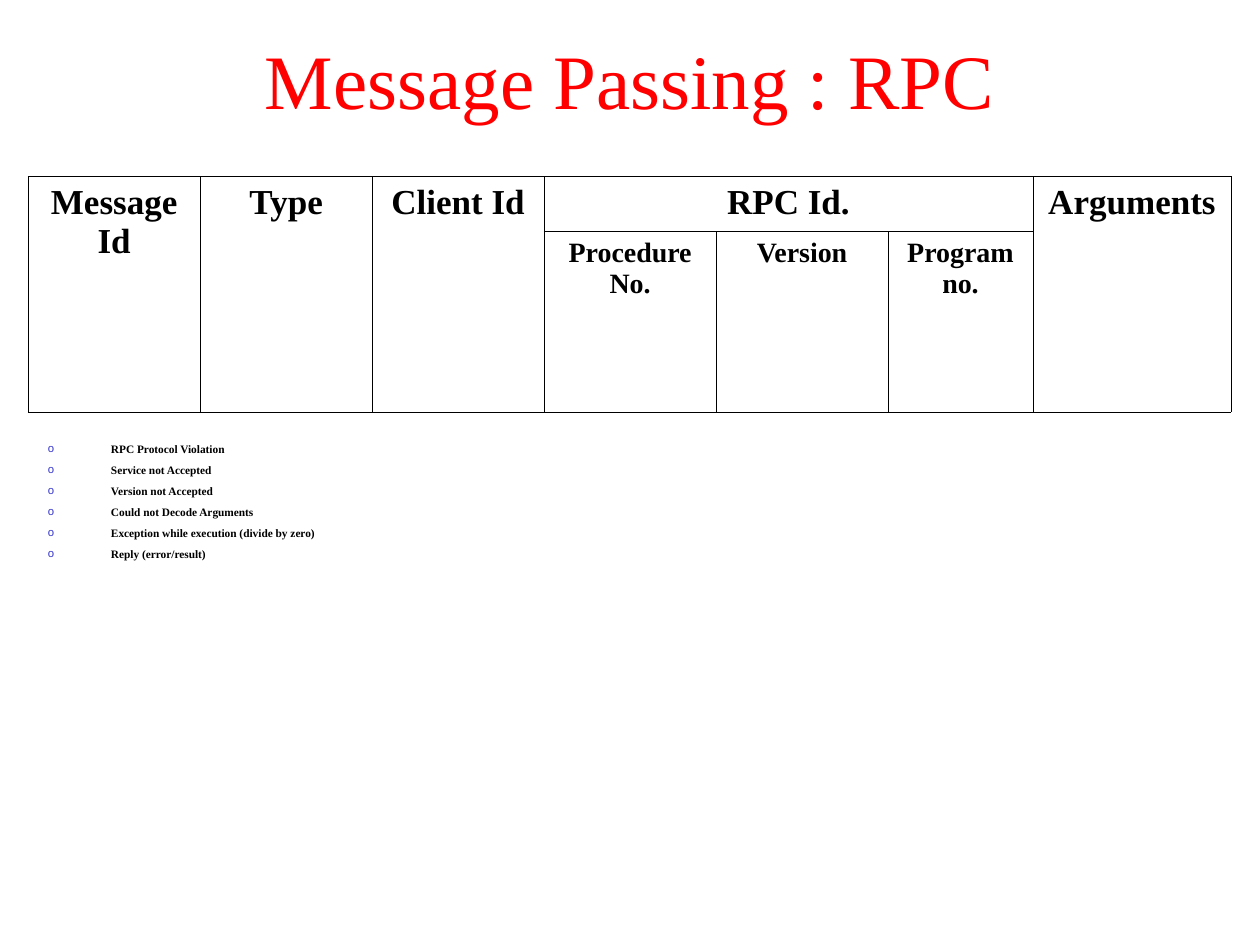
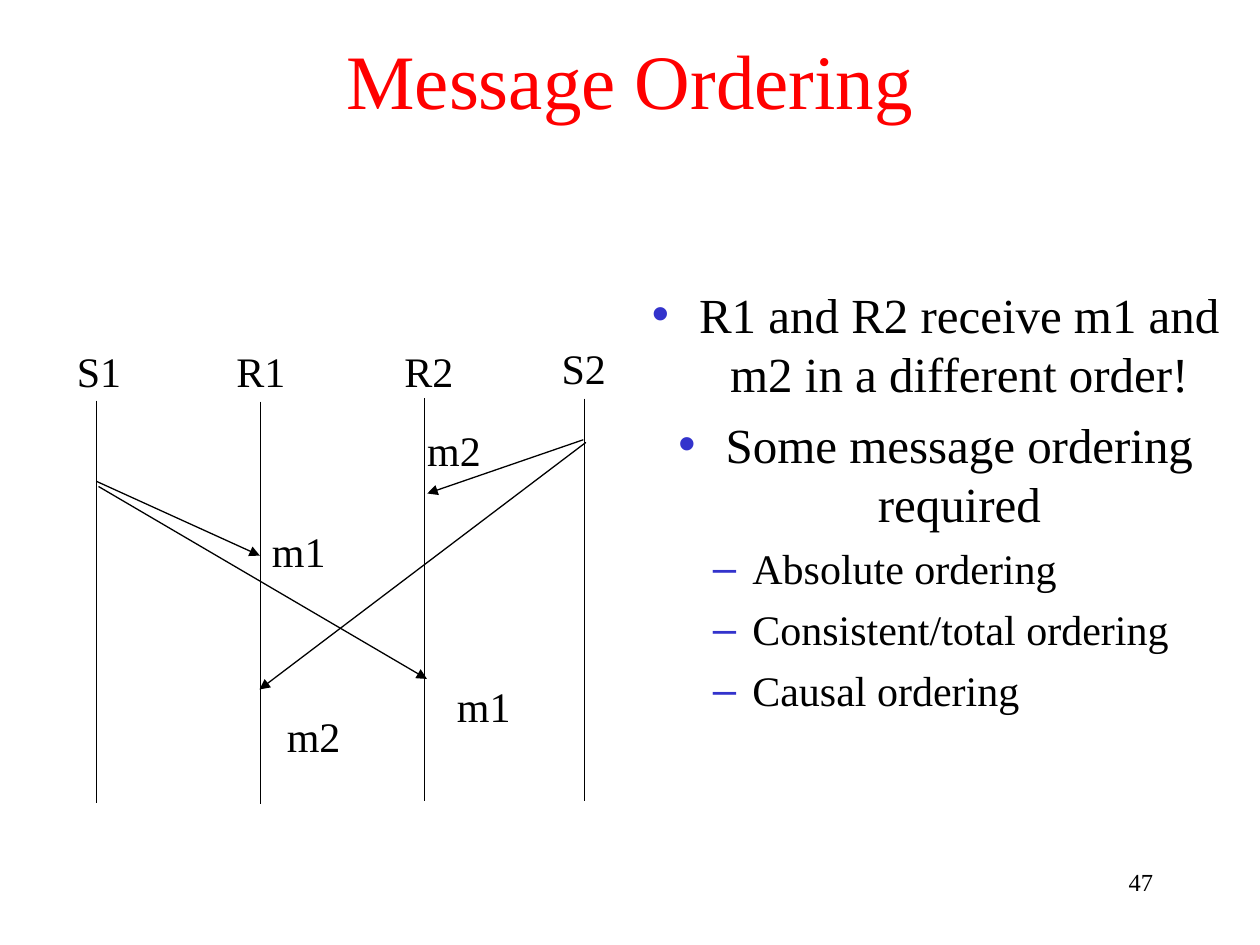
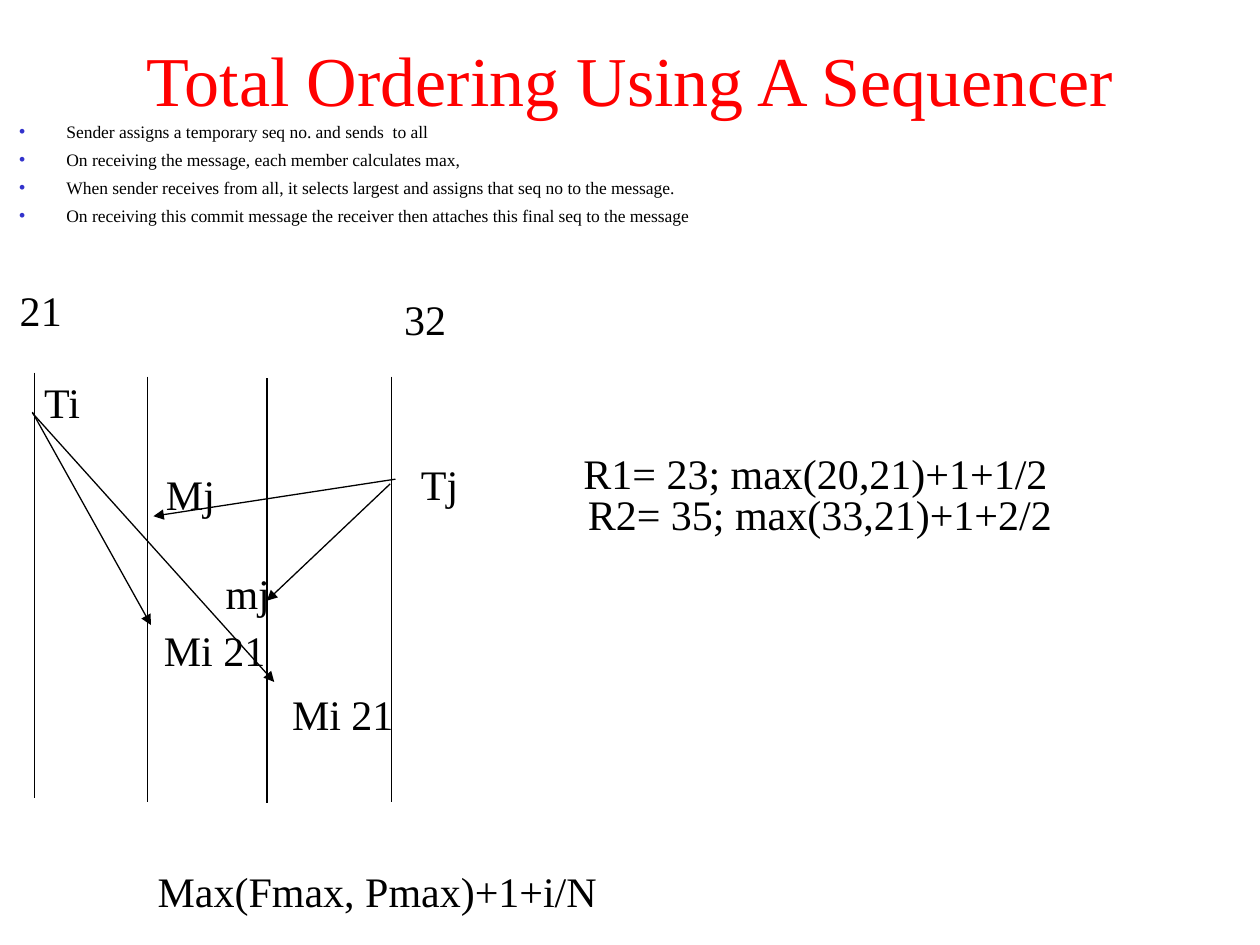
from typing import NamedTuple

from lxml.etree import SubElement
from pptx import Presentation
from pptx.dml.color import RGBColor
from pptx.enum.shapes import MSO_CONNECTOR
from pptx.enum.text import MSO_ANCHOR, MSO_AUTO_SIZE, PP_ALIGN
from pptx.oxml.ns import qn
from pptx.slide import Slide
from pptx.table import _Cell
from pptx.text.text import TextFrame, _Paragraph
from pptx.util import Pt

RED = RGBColor(0xFF, 0x00, 0x00)
BLACK = RGBColor(0x00, 0x00, 0x00)
WHITE = RGBColor(0xFF, 0xFF, 0xFF)
BULLET_BLUE = RGBColor(0x33, 0x33, 0xCC)
FONT = "Times New Roman"
LABEL_HEIGHT = 36


class Box(NamedTuple):
    left: float
    top: float
    width: float
    height: float


class BulletStyle(NamedTuple):
    mark: str
    size: float
    margin: float
    hanging: float
    space_before: float
    level: int = 0
    align: PP_ALIGN = PP_ALIGN.LEFT
    line_spacing: float = 1.0
    bold: bool = False


class Bullet(NamedTuple):
    text: str
    style: BulletStyle


class Lifeline(NamedTuple):
    x: float
    top: float


class Arrow(NamedTuple):
    x1: float
    y1: float
    x2: float
    y2: float


class Label(NamedTuple):
    text: str
    left: float
    top: float
    width: float


class HeaderCell(NamedTuple):
    text: str
    row: int
    column: int
    rows: int = 1
    columns: int = 1
    size: float = 20


TITLE_BOX = Box(0, 0, 720, 90)

REPLY_STYLE = BulletStyle("o", 6.5, 36, 36, 6.5, line_spacing=0.7, bold=True)
POINT_STYLE = BulletStyle("•", 28, 27, 27, 7, align=PP_ALIGN.CENTER)
ORDERING_STYLE = BulletStyle("–", 24, 58.5, 22.5, 6, level=1)
STEP_STYLE = BulletStyle("•", 10, 27, 27, 4)

TABLE_BOX = Box(16.1, 101, 687.5, 134.5)
COLUMN_WIDTHS = [98.3] * 5 + [82.75, 113.25]
ROW_HEIGHTS = [31.25, 103.25]
MESSAGE_FIELDS = [
    HeaderCell("Message Id", 0, 0, rows=2),
    HeaderCell("Type", 0, 1, rows=2),
    HeaderCell("Client Id", 0, 2, rows=2),
    HeaderCell("RPC Id.", 0, 3, columns=3),
    HeaderCell("Arguments", 0, 6, rows=2),
    HeaderCell("Procedure No.", 1, 3, size=16),
    HeaderCell("Version", 1, 4, size=16),
    HeaderCell("Program no.", 1, 5, size=16),
]
REPLIES = [
    "RPC Protocol Violation",
    "Service not Accepted",
    "Version not Accepted",
    "Could not Decode Arguments",
    "Exception while execution (divide by zero)",
    "Reply (error/result)",
]

ORDERING_POINTS = [
    Bullet("R1 and R2 receive m1 and m2 in a different order!", POINT_STYLE),
    Bullet("Some message ordering required", POINT_STYLE),
    Bullet("Absolute ordering", ORDERING_STYLE),
    Bullet("Consistent/total ordering", ORDERING_STYLE),
    Bullet("Causal ordering", ORDERING_STYLE),
]
ORDERING_LINES = [
    Lifeline(55, 229), Lifeline(149, 229.5), Lifeline(242.7, 227.5), Lifeline(334, 227.8),
]
ORDERING_ARROWS = [
    Arrow(55, 275, 148.5, 317.5),
    Arrow(56.3, 278, 244, 388),
    Arrow(333.3, 251.3, 244.2, 282),
    Arrow(334.8, 252.8, 148.3, 394),
]
ORDERING_LABELS = [
    Label("S1", 36.8, 194, 46),
    Label("R1", 128, 194, 48),
    Label("R2", 224, 194, 48),
    Label("S2", 313.8, 192, 46),
    Label("m1", 148.3, 296.5, 52),
    Label("m1", 254, 385.5, 52),
    Label("m2", 237, 239, 52),
    Label("m2", 156.8, 402.5, 52),
]

SEQUENCER_STEPS = [
    "Sender assigns a temporary seq no. and sends  to all",
    "On receiving the message, each member calculates max,",
    "When sender receives from all, it selects largest and assigns that seq no to the message.",
    "On receiving this commit message the receiver then attaches this final seq to the message",
]
SEQUENCER_LINES = [
    Lifeline(19.8, 213), Lifeline(84.2, 215.2), Lifeline(152.6, 216), Lifeline(223.8, 215.2),
]
SEQUENCER_ARROWS = [
    Arrow(18.5, 235.5, 86.3, 357.2),
    Arrow(18.5, 236, 156.7, 389.7),
    Arrow(226, 273.8, 87.7, 295),
    Arrow(223, 276.5, 152.5, 343.3),
]
SEQUENCER_LABELS = [
    Label("Mi 21", 86.5, 353.3, 82),
    Label("Mi 21", 159.8, 389.8, 82),
    Label("Mj", 87.8, 264, 56),
    Label("mj", 121.8, 320.5, 46),
    Label("Tj", 233.5, 258.5, 42),
    Label("Ti", 18.2, 211.8, 42),
    Label("Max(Fmax, Pmax)+1+i/N", 83, 491, 290),
    Label("32", 223.8, 164.3, 46),
    Label("21", 4.2, 159, 46),
    Label("R1= 23; max(20,21)+1+1/2", 326.3, 252, 300),
    Label("R2= 35; max(33,21)+1+2/2", 328.8, 275.7, 300),
]


def points(box: Box) -> list:
    return [Pt(length) for length in box]


def add_run(paragraph: _Paragraph, text: str, size: float,
            color: RGBColor = BLACK, bold: bool = False) -> None:
    run = paragraph.add_run()
    run.text = text
    run.font.name = FONT
    run.font.size = Pt(size)
    run.font.bold = bold
    run.font.color.rgb = color


def place(placeholder, box: Box) -> TextFrame:
    placeholder.left, placeholder.top, placeholder.width, placeholder.height = points(box)
    frame = placeholder.text_frame
    frame.auto_size = MSO_AUTO_SIZE.NONE
    return frame


def add_slide(deck, title: str, title_size: float, body_box: Box, bullets: list[Bullet]) -> Slide:
    slide = deck.slides.add_slide(deck.slide_layouts[1])
    heading = place(slide.shapes.title, TITLE_BOX)
    heading.vertical_anchor = MSO_ANCHOR.MIDDLE
    heading.paragraphs[0].alignment = PP_ALIGN.CENTER
    add_run(heading.paragraphs[0], title, title_size, RED)

    body = place(slide.placeholders[1], body_box)
    for index, bullet in enumerate(bullets):
        paragraph = body.add_paragraph() if index else body.paragraphs[0]
        format_bullet(paragraph, bullet.style)
        paragraph.space_before = Pt(bullet.style.space_before if index else 0)
        add_run(paragraph, bullet.text, bullet.style.size, bold=bullet.style.bold)
    return slide


def format_bullet(paragraph: _Paragraph, style: BulletStyle) -> None:
    paragraph.level = style.level
    paragraph.alignment = style.align
    properties = paragraph._p.get_or_add_pPr()
    properties.set("marL", str(Pt(style.margin)))
    properties.set("indent", str(-Pt(style.hanging)))
    color = SubElement(properties, qn("a:buClr"))
    SubElement(color, qn("a:srgbClr"), val=str(BULLET_BLUE))
    SubElement(properties, qn("a:buChar"), char=style.mark)
    paragraph.line_spacing = style.line_spacing


def add_line(slide: Slide, ends: Arrow, arrowhead: bool = False) -> None:
    line = slide.shapes.add_connector(MSO_CONNECTOR.STRAIGHT, *[Pt(end) for end in ends])
    line.line.color.rgb = BLACK
    line.line.width = Pt(0.75)
    properties = line.element.spPr
    if arrowhead:
        SubElement(properties.find(qn("a:ln")), qn("a:tailEnd"), type="triangle")
    SubElement(properties, qn("a:effectLst"))


def add_label(slide: Slide, label: Label) -> None:
    box = Box(label.left, label.top, label.width, LABEL_HEIGHT)
    frame = slide.shapes.add_textbox(*points(box)).text_frame
    frame.word_wrap = True
    add_run(frame.paragraphs[0], label.text, 24)


def add_timeline(slide: Slide, lifelines: list[Lifeline], length: float,
                 arrows: list[Arrow], labels: list[Label]) -> None:
    for x, top in lifelines:
        add_line(slide, Arrow(x, top, x, top + length))
    for arrow in arrows:
        add_line(slide, arrow, arrowhead=True)
    for label in labels:
        add_label(slide, label)


def format_cell(cell: _Cell) -> None:
    properties = cell._tc.get_or_add_tcPr()
    for side in ("a:lnL", "a:lnR", "a:lnT", "a:lnB"):
        border = SubElement(properties, qn(side), w=str(Pt(0.45)))
        fill = SubElement(border, qn("a:solidFill"))
        SubElement(fill, qn("a:srgbClr"), val=str(BLACK))
    cell.fill.solid()
    cell.fill.fore_color.rgb = WHITE


def add_message_table(slide: Slide) -> None:
    table = slide.shapes.add_table(
        len(ROW_HEIGHTS), len(COLUMN_WIDTHS), *points(TABLE_BOX)).table
    table.first_row = False
    table.horz_banding = False
    for column, width in zip(table.columns, COLUMN_WIDTHS):
        column.width = Pt(width)
    for row, height in zip(table.rows, ROW_HEIGHTS):
        row.height = Pt(height)
    for cell in table.iter_cells():
        format_cell(cell)
    for field in MESSAGE_FIELDS:
        cell = table.cell(field.row, field.column)
        if field.rows > 1 or field.columns > 1:
            cell.merge(table.cell(field.row + field.rows - 1, field.column + field.columns - 1))
        paragraph = cell.text_frame.paragraphs[0]
        paragraph.alignment = PP_ALIGN.CENTER
        add_run(paragraph, field.text, field.size, bold=True)


def add_page_number(slide: Slide, number: str) -> None:
    frame = slide.shapes.add_textbox(*points(Box(516, 492, 150, 36))).text_frame
    frame.word_wrap = True
    frame.paragraphs[0].alignment = PP_ALIGN.RIGHT
    add_run(frame.paragraphs[0], number, 14)


def main() -> None:
    deck = Presentation()
    deck.slide_width, deck.slide_height = Pt(720), Pt(540)

    rpc = add_slide(deck, "Message Passing : RPC", 44, Box(20.2, 251.2, 606, 66),
                    [Bullet(reply, REPLY_STYLE) for reply in REPLIES])
    add_message_table(rpc)

    ordering = add_slide(deck, "Message Ordering", 44, Box(364.2, 159, 341, 324),
                         ORDERING_POINTS)
    add_timeline(ordering, ORDERING_LINES, 230, ORDERING_ARROWS, ORDERING_LABELS)
    add_page_number(ordering, "47")

    sequencer = add_slide(deck, "Total Ordering Using A Sequencer", 40,
                          Box(3.7, 65.5, 664.5, 66),
                          [Bullet(step, STEP_STYLE) for step in SEQUENCER_STEPS])
    add_timeline(sequencer, SEQUENCER_LINES, 243, SEQUENCER_ARROWS, SEQUENCER_LABELS)

    deck.save("out.pptx")


if __name__ == "__main__":
    main()
